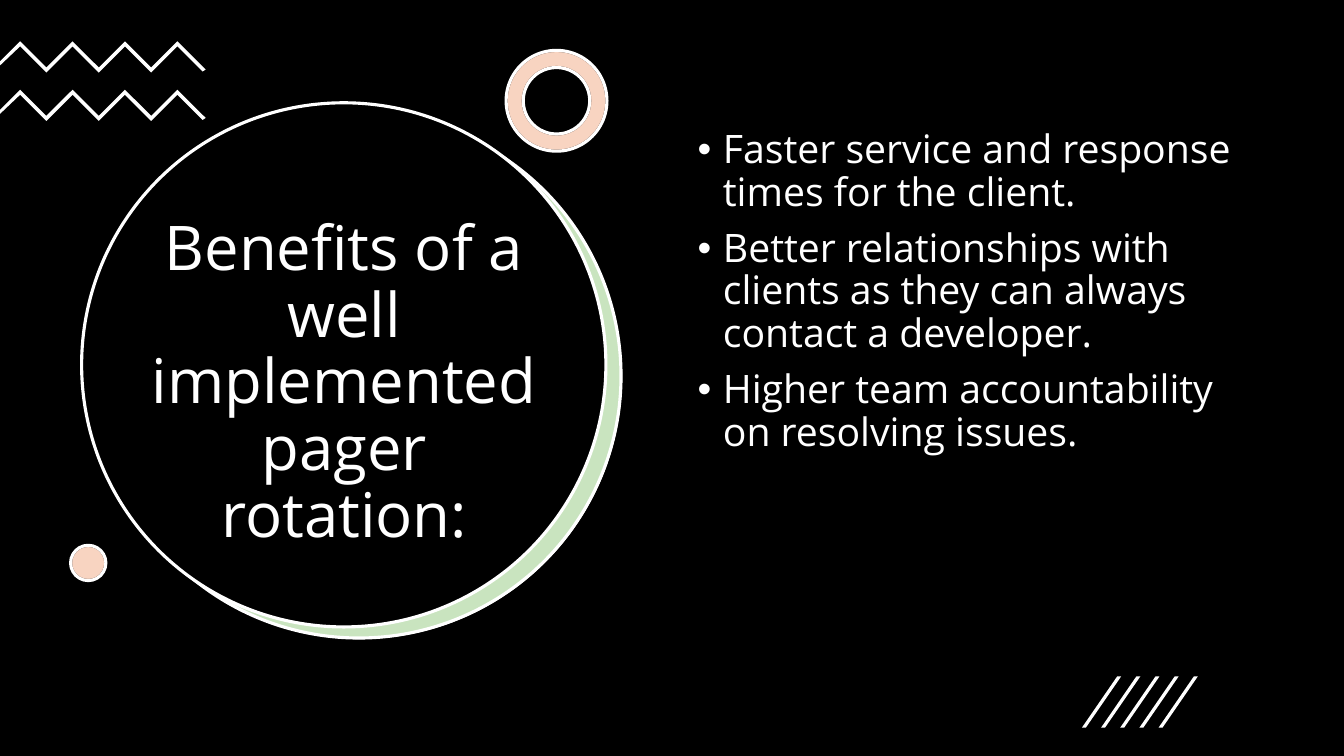
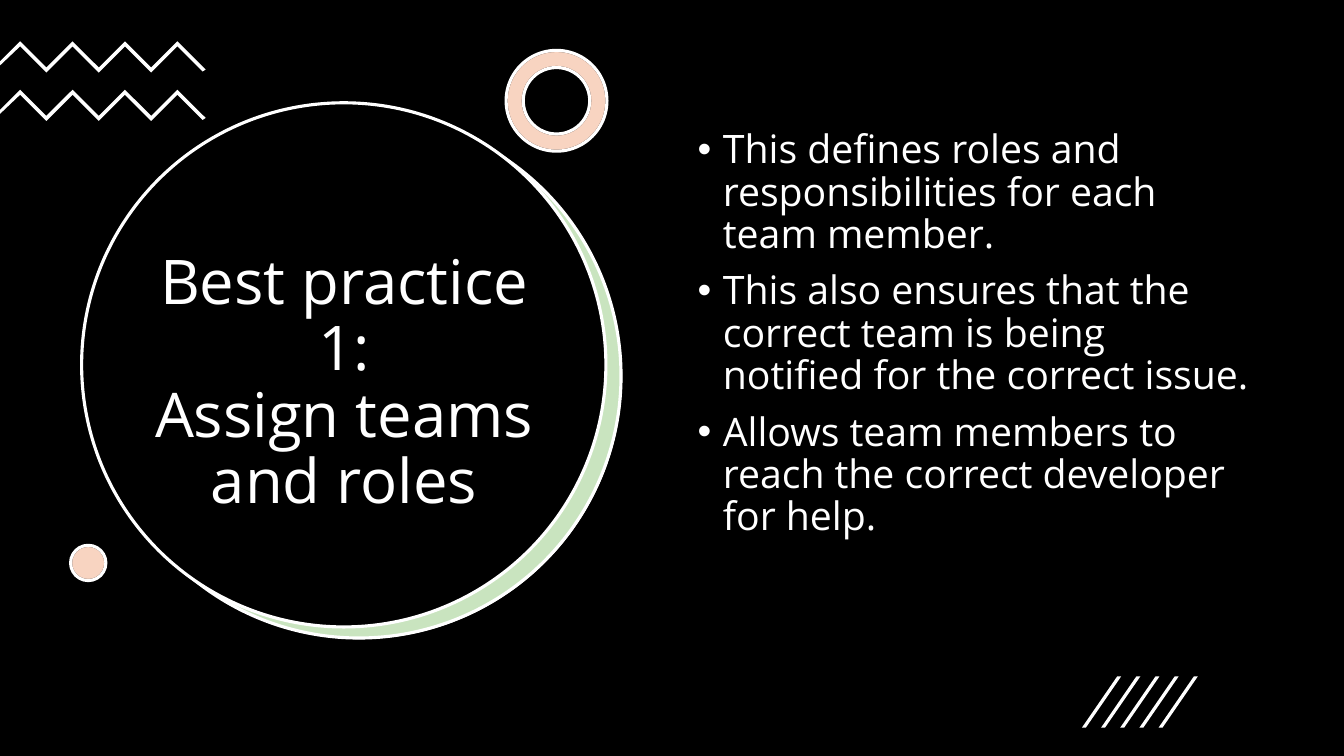
from dataclasses import dataclass

from lxml.etree import SubElement
from pptx import Presentation
from pptx.dml.color import RGBColor
from pptx.enum.shapes import MSO_SHAPE
from pptx.enum.text import MSO_ANCHOR, MSO_AUTO_SIZE, PP_ALIGN
from pptx.oxml.ns import qn
from pptx.util import Inches, Pt


@dataclass(frozen=True)
class Theme:
    black: str = "000000"
    white: str = "FFFFFF"
    green: str = "4EA72E"
    orange: str = "E97132"
    font: str = "Open Sans"
    title: int = 44
    body: int = 28
    line: float = 2.25
    tint: int = 30


THEME = Theme()

SLIDES = [
    ("Benefits of a well implemented pager rotation:",
     ["Faster service and response times for the client.",
      "Better relationships with clients as they can always contact a developer.",
      "Higher team accountability on resolving issues."]),
    ("Best practice 1:\vAssign teams and roles",
     ["This defines roles and responsibilities for each team member.",
      "This also ensures that the correct team is being notified for the correct issue.",
      "Allows team members to reach the correct developer for help."]),
]


def paint(shape, fill, line=None, alpha=None):
    """Set fill and line; alpha is the fill's opacity in percent."""
    shape.shadow.inherit = False
    shape.fill.solid()
    shape.fill.fore_color.rgb = RGBColor.from_string(fill)
    if alpha is not None:
        color = shape.fill._xPr.find(f"{qn('a:solidFill')}/{qn('a:srgbClr')}")
        SubElement(color, qn("a:alpha"), val=str(alpha * 1000))
    if line:
        shape.line.color.rgb = RGBColor.from_string(line)
        shape.line.width = Pt(THEME.line)
    else:
        shape.line.fill.background()


def draw(shapes, kind, box, fill, line=None, alpha=None, adjust=None):
    shape = shapes.add_shape(kind, *map(Inches, box))
    if adjust is not None:
        shape.adjustments[0] = adjust
    paint(shape, fill, line, alpha)


def tinted(shapes, kind, box, color, adjust=None):
    """Lay a sheer colour over a white base of the same outline."""
    draw(shapes, kind, box, THEME.white, THEME.black, adjust=adjust)
    draw(shapes, kind, box, color, THEME.white, THEME.tint, adjust)


def write(holder, box, lines, size, align=PP_ALIGN.LEFT,
          anchor=MSO_ANCHOR.TOP, before=0, indent=0):
    """Fill a placeholder, one paragraph a line, and bring it to the front."""
    holder.left, holder.top, holder.width, holder.height = map(Inches, box)
    holder.element.getparent().append(holder.element)
    frame = holder.text_frame
    frame.word_wrap = True
    frame.auto_size = MSO_AUTO_SIZE.NONE
    frame.vertical_anchor = anchor
    for i, line in enumerate(lines):
        para = frame.add_paragraph() if i else frame.paragraphs[0]
        para.text = line
        para.alignment = align
        para.line_spacing = 0.9
        para.space_before = Pt(before)
        if indent:
            props = para._p.get_or_add_pPr()
            props.set("marL", str(Inches(indent)))
            props.set("indent", str(-Inches(indent)))
        for run in para.runs:
            run.font.name = THEME.font
            run.font.size = Pt(size)
            run.font.color.rgb = RGBColor.from_string(THEME.white)


def disc(slide, box, title):
    """Title circle with a green crescent showing at its lower right."""
    x, y, side = box
    oval = MSO_SHAPE.OVAL
    draw(slide.shapes, oval, (x + 0.16, y + 0.12, side, side), THEME.white)
    draw(slide.shapes, oval, (x + 0.15, y + 0.11, side, side),
         THEME.green, THEME.white, THEME.tint)
    draw(slide.shapes, oval, (x, y, side, side), THEME.black, THEME.white)
    write(slide.shapes.title, (x + 0.4, y + 1.03, 4.41, 3.52), [title],
          THEME.title, align=PP_ALIGN.CENTER, anchor=MSO_ANCHOR.MIDDLE)


def waves(slide, x, y, step=0.26, thick=0.05, gap=0.48):
    """Two zigzag bands that run in from the left edge."""
    group = slide.shapes.add_group_shape()
    peaks = [(0.2 + step * i, step * (i % 2)) for i in range(7)]
    upper = [(0, 0.2), *peaks, (2.04, 0.28)]
    lower = [(0, 0.24), *((px, py + thick) for px, py in peaks), (2.01, 0.3)]
    for row in range(2):
        top = y + gap * row
        first, *rest = [(Inches(x + px), Inches(top + py))
                        for px, py in upper + lower[::-1]]
        pen = group.shapes.build_freeform(*first)
        pen.add_line_segments(rest, close=True)
        paint(pen.convert_to_shape(), THEME.white)


def slashes(slide, x, y, pitch=0.19):
    group = slide.shapes.add_group_shape()
    for i in range(5):
        draw(group.shapes, MSO_SHAPE.PARALLELOGRAM,
             (x + pitch * i, y, 0.39, 0.51), THEME.white, adjust=0.9)


def build(deck, layout, title, points):
    slide = deck.slides.add_slide(layout)
    disc(slide, (0.81, 1.02, 5.2), title)
    waves(slide, 0, 0.41)
    tinted(slide.shapes, MSO_SHAPE.DONUT, (5.02, 0.5, 1, 1), THEME.orange, 0.17)
    tinted(slide.shapes, MSO_SHAPE.OVAL, (0.7, 5.41, 0.35, 0.35), THEME.orange)
    write(slide.placeholders[1], (6.82, 1.24, 5.71, 4.76), points,
          THEME.body, before=10, indent=0.25)
    slashes(slide, 10.73, 6.71)


def main():
    deck = Presentation()
    deck.slide_width, deck.slide_height = Inches(13.33), Inches(7.5)
    layout = deck.slide_layouts[1]
    layout.background.fill.solid()
    layout.background.fill.fore_color.rgb = RGBColor.from_string(THEME.black)
    for title, points in SLIDES:
        build(deck, layout, title, points)
    deck.save("out.pptx")


if __name__ == "__main__":
    main()
